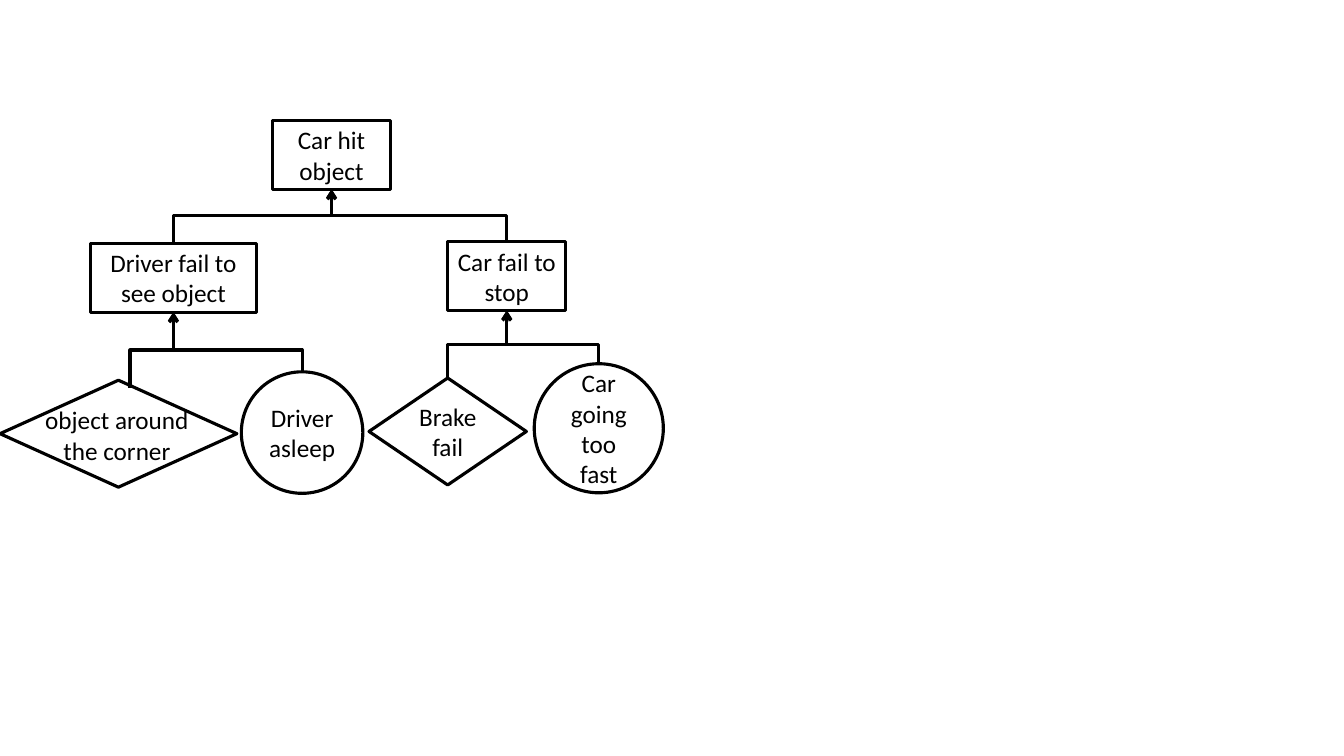
import dataclasses

import lxml.etree
import pptx
import pptx.dml.color
import pptx.enum.shapes
import pptx.enum.text
import pptx.oxml.ns
import pptx.util

Pt = pptx.util.Pt
qn = pptx.oxml.ns.qn
SHAPE = pptx.enum.shapes.MSO_SHAPE


@dataclasses.dataclass(frozen=True)
class Theme:
    ink: pptx.dml.color.RGBColor = pptx.dml.color.RGBColor(0, 0, 0)
    paper: pptx.dml.color.RGBColor = pptx.dml.color.RGBColor(255, 255, 255)
    font: str = "Calibri"
    size: float = 18
    line: float = 2.25


theme = Theme()


def write(sp, lines):
    tf = sp.text_frame
    tf.vertical_anchor = pptx.enum.text.MSO_ANCHOR.MIDDLE
    for i, line in enumerate(lines):
        p = tf.paragraphs[0] if i == 0 else tf.add_paragraph()
        p.alignment = pptx.enum.text.PP_ALIGN.CENTER
        r = p.add_run()
        r.text = line
        r.font.name = theme.font
        r.font.size = Pt(theme.size)
        r.font.color.rgb = theme.ink


prs = pptx.Presentation()
prs.slide_width, prs.slide_height = Pt(960), Pt(540)
slide = prs.slides.add_slide(prs.slide_layouts[6])

# Events and causes: name, shape, left, top, width, height, paragraphs
nodes = [
    ("hit", SHAPE.RECTANGLE, 194.6, 86, 84.4, 49.2, ["Car hit object"]),
    ("unseen", SHAPE.RECTANGLE, 64.8, 173.8, 118.2, 49.2, ["Driver fail to see object"]),
    ("no_stop", SHAPE.RECTANGLE, 319.8, 172.6, 84.4, 49.2, ["Car fail to stop"]),
    ("brake", SHAPE.DIAMOND, 263.6, 270, 112.4, 76.4, ["Brake fail"]),
    ("speed", SHAPE.OVAL, 381.6, 259.8, 92.2, 92.2, ["Car going too fast"]),
    ("asleep", SHAPE.OVAL, 172.4, 265.6, 86.8, 86.8, ["Driver", "asleep"]),
    ("corner", SHAPE.DIAMOND, 0, 271.6, 169.2, 76.4, []),
]
shapes = {}
for name, kind, left, top, width, height, lines in nodes:
    sp = slide.shapes.add_shape(kind, Pt(left), Pt(top), Pt(width), Pt(height))
    sp.shadow.inherit = False
    if kind == SHAPE.OVAL:
        sp.fill.solid()
        sp.fill.fore_color.rgb = theme.paper
    else:
        sp.fill.background()
    sp.line.color.rgb = theme.ink
    sp.line.width = Pt(theme.line)
    write(sp, lines)
    shapes[name] = sp

# The corner label is wider than its diamond's text area
label = slide.shapes.add_textbox(Pt(24.5), Pt(285.1), Pt(118.1), Pt(51.1))
label.text_frame.word_wrap = False
label.text_frame.auto_size = pptx.enum.text.MSO_AUTO_SIZE.SHAPE_TO_FIT_TEXT
write(label, ["object around", "the corner"])
shapes["label"] = label

# Elbow arrows from cause to event; bend is the share of the rise before the turn
links = [
    ("unseen", "hit", 0.517),
    ("no_stop", "hit", 0.5),
    ("label", "unseen", 0.5),
    ("asleep", "unseen", 0.365),
    ("brake", "no_stop", 0.5),
    ("speed", "no_stop", 0.363),
]
for cause, event, bend in links:
    a, b = shapes[cause], shapes[event]
    x1, y1 = a.left + a.width // 2, a.top
    x2, y2 = b.left + b.width // 2, b.top + b.height
    if cause == "label":
        x1, y1 = Pt(92.9), Pt(277.2)
    cxn = slide.shapes.add_connector(pptx.enum.shapes.MSO_CONNECTOR.ELBOW, x1, y1, x2, y2)
    cxn.line.color.rgb = theme.ink
    cxn.line.width = Pt(theme.line)

    # Turn the elbow so that it leaves and arrives vertically
    rise, run = y1 - y2, abs(x2 - x1)
    cxn.left, cxn.top = (x1 + x2 - rise) // 2, (y1 + y2 - run) // 2
    cxn.width, cxn.height = rise, run
    sppr = cxn._element.spPr
    xfrm = sppr.find(qn("a:xfrm"))
    rightward = x2 > x1
    xfrm.set("rot", str((90 if rightward else 270) * 60000))
    xfrm.set("flipH", "1" if rightward else "0")
    xfrm.set("flipV", "1")

    # Bend, arrowhead and no shadow
    guides = sppr.find(qn("a:prstGeom")).get_or_add_avLst()
    lxml.etree.SubElement(guides, qn("a:gd"), name="adj1", fmla=f"val {round(bend * 100000)}")
    lxml.etree.SubElement(sppr.find(qn("a:ln")), qn("a:tailEnd"), type="arrow")
    lxml.etree.SubElement(sppr, qn("a:effectLst"))

prs.save("out.pptx")
